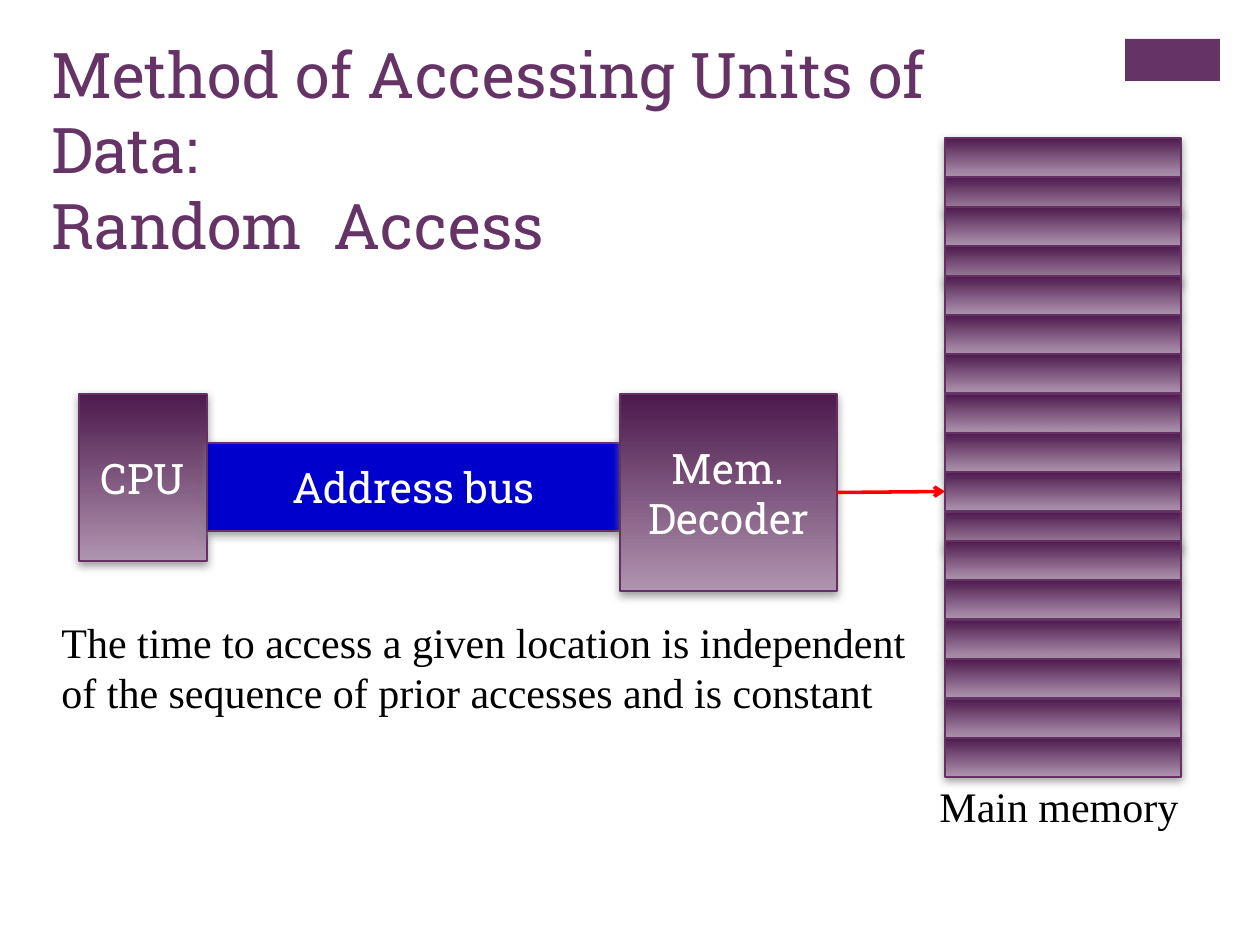
from lxml.etree import SubElement
from pptx import Presentation
from pptx.dml.color import RGBColor
from pptx.enum.shapes import MSO_CONNECTOR, MSO_SHAPE
from pptx.enum.text import MSO_ANCHOR, PP_ALIGN
from pptx.oxml import parse_xml
from pptx.oxml.ns import nsdecls, qn
from pptx.util import Emu, Pt

PX_PER_INCH = 126
SLAB, SERIF = "Roboto Slab", "Times New Roman"
PURPLE, OUTLINE, BUS_BLUE = "663366", "653165", "0000CC"
GRADIENT = ("4D1A4D", "AF94AF")
RIGHT_SIDE, LEFT_SIDE = 3, 1

CELL_COUNT = 17
CELL_PITCH = 315 / 8
OVERLAP = 10
OVERLAPPED_CELLS = (2, 4, 11)  # these cells cover the foot of the one above
ADDRESSED_CELL = 9

SHADOW = f"""<a:effectLst {nsdecls('a')}>
  <a:outerShdw blurRad="{Pt(5)}" dist="{Pt(2)}" dir="5400000" rotWithShape="0">
    <a:srgbClr val="808080"><a:alpha val="75000"/></a:srgbClr>
  </a:outerShdw>
</a:effectLst>"""


def px(length):
    return Emu(round(length * 914400 / PX_PER_INCH))


def color(hex_value):
    return RGBColor.from_string(hex_value)


def write(shape, lines, size, font, hex_value, align=PP_ALIGN.LEFT, anchor=MSO_ANCHOR.TOP):
    frame = shape.text_frame
    frame.word_wrap = True
    frame.vertical_anchor = anchor
    frame.text = "\n".join(lines)
    for paragraph in frame.paragraphs:
        paragraph.alignment = align
        for name, value in {"size": Pt(size), "name": font}.items():
            setattr(paragraph.font, name, value)
        paragraph.font.color.rgb = color(hex_value)


def add_label(slide, box, lines, size, font, hex_value, align=PP_ALIGN.LEFT):
    label = slide.shapes.add_textbox(*map(px, box))
    write(label, lines, size, font, hex_value, align)


def add_rectangle(slide, box, hex_value):
    rectangle = slide.shapes.add_shape(MSO_SHAPE.RECTANGLE, *map(px, box))
    rectangle.shadow.inherit = False
    rectangle.fill.solid()
    rectangle.fill.fore_color.rgb = color(hex_value)
    rectangle.line.fill.background()
    return rectangle


def add_block(slide, box, text="", fill=None):
    """Add an outlined, shadowed block; without a fill it gets the purple gradient."""
    block = add_rectangle(slide, box, fill or PURPLE)
    if fill is None:
        block.fill.gradient()
        block.fill.gradient_angle = 270
        for position, (stop, shade) in enumerate(zip(block.fill.gradient_stops, GRADIENT)):
            stop.position = position
            stop.color.rgb = color(shade)
    block.line.color.rgb = color(OUTLINE)
    block.line.width = Pt(1)
    properties = block._element.spPr
    properties.replace(properties.find(qn("a:effectLst")), parse_xml(SHADOW))
    if text:
        write(block, [text], 24, SLAB, "FFFFFF", PP_ALIGN.CENTER, MSO_ANCHOR.MIDDLE)
    return block


def add_memory(slide):
    cells = []
    for index in range(CELL_COUNT):
        overlaps = sum(index >= cell for cell in OVERLAPPED_CELLS)
        top = 138 + round(index * CELL_PITCH) - overlaps * OVERLAP
        cells.append(add_block(slide, (945, top, 236, 39)))
    return cells


def add_arrow(slide, source, target):
    arrow = slide.shapes.add_connector(MSO_CONNECTOR.STRAIGHT, 0, 0, 0, 0)
    arrow.begin_connect(source, RIGHT_SIDE)
    arrow.end_connect(target, LEFT_SIDE)
    arrow.line.color.rgb = color("FF0000")
    arrow.line.width = Pt(2)
    SubElement(arrow.line._get_or_add_ln(), qn("a:tailEnd"), type="arrow")
    SubElement(arrow._element.spPr, qn("a:effectLst"))


def main():
    presentation = Presentation()
    presentation.slide_width, presentation.slide_height = px(1260), px(945)
    slide = presentation.slides.add_slide(presentation.slide_layouts[6])

    add_rectangle(slide, (1125, 39, 95, 42), PURPLE)
    add_label(slide, (39, 29, 1041, 175),
              ["Method of Accessing Units of Data:", "Random  Access"], 36, SLAB, PURPLE)

    add_block(slide, (79, 394, 128, 167), "CPU")
    add_block(slide, (207, 443, 413, 88), "Address bus", BUS_BLUE)
    decoder = add_block(slide, (620, 394, 217, 197), "Mem. Decoder")
    memory_cells = add_memory(slide)
    add_arrow(slide, decoder, memory_cells[ADDRESSED_CELL])

    add_label(slide, (49, 610, 886, 115),
              ["The time to access a given location is independent "
               "of the sequence of prior accesses and is constant"], 24, SERIF, "000000")
    add_label(slide, (916, 774, 286, 63), ["Main memory"], 24, SERIF, "000000",
              PP_ALIGN.CENTER)

    presentation.save("out.pptx")


if __name__ == "__main__":
    main()
